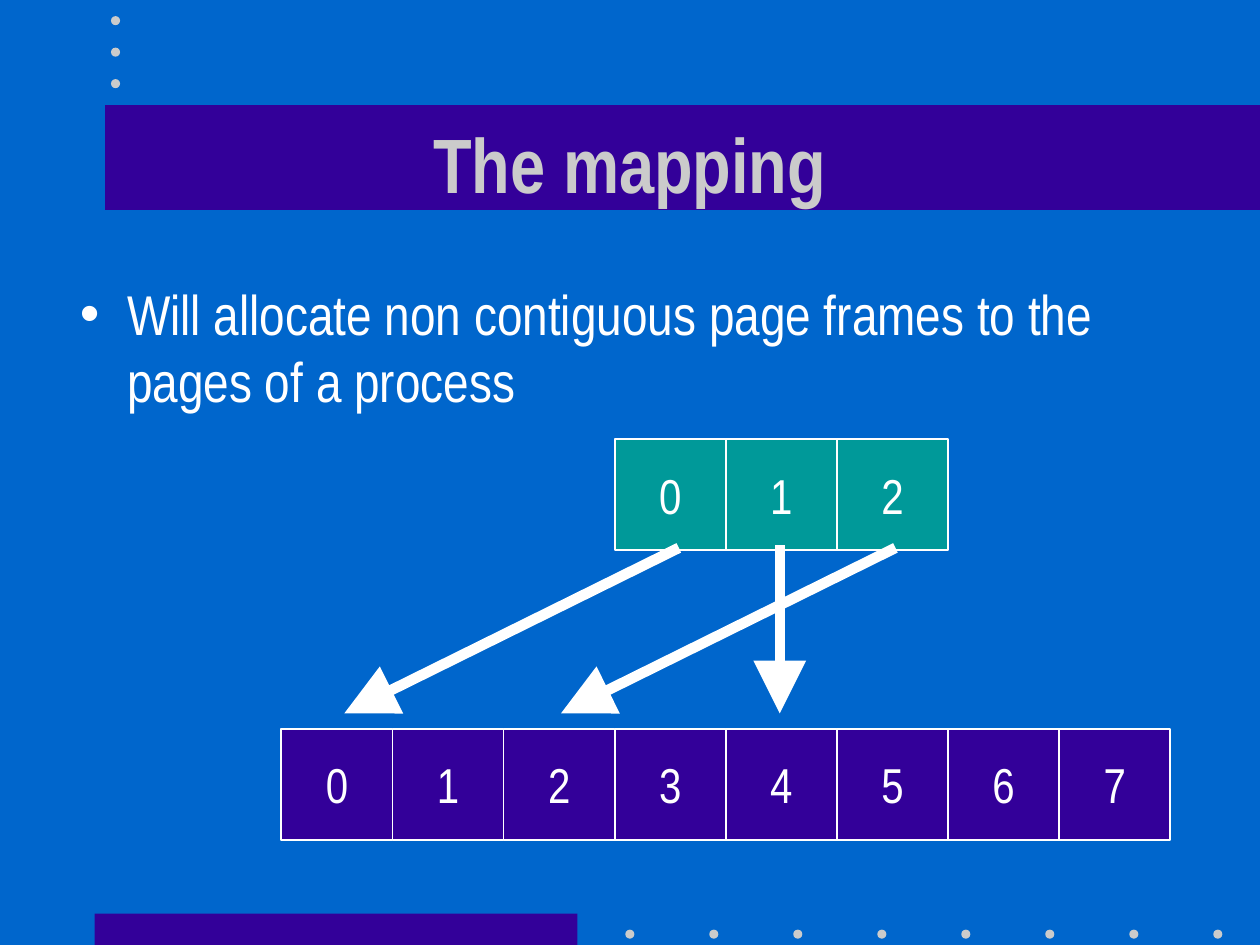
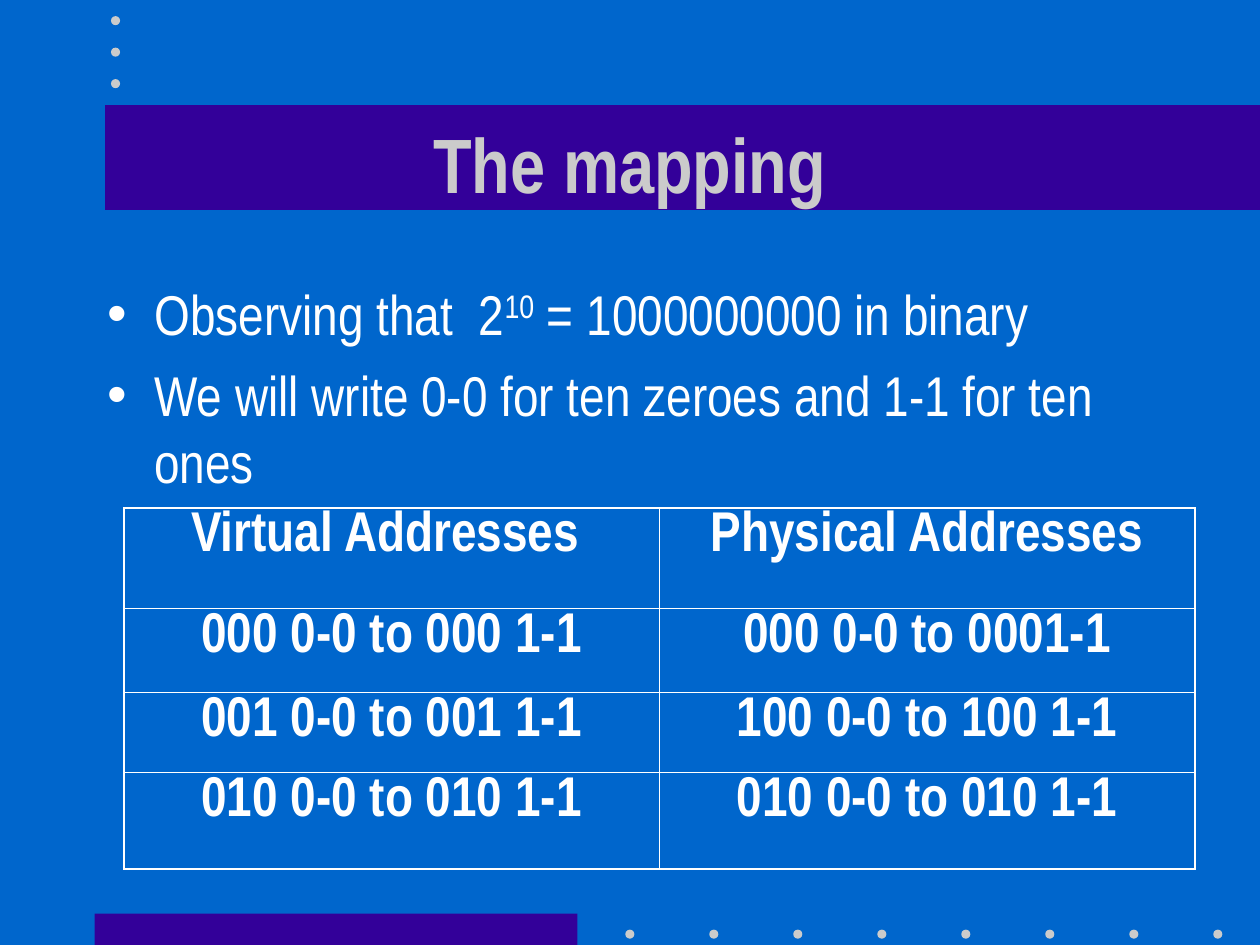
import pptx
import pptx.util
import pptx.dml.color
import pptx.enum.shapes
import pptx.enum.text
import pptx.oxml
import pptx.oxml.ns
import lxml.etree

Pt = pptx.util.Pt
SHAPES = pptx.enum.shapes.MSO_SHAPE
ALIGN = pptx.enum.text.PP_ALIGN
ANCHOR = pptx.enum.text.MSO_ANCHOR
COLORS = {
    "background": "0066CC",
    "band": "330099",
    "muted": "CBCBCB",
    "page": "009999",
    "text": "FFFFFF",
}
FONT = "Arial Narrow"
DOT = 5.2
CELL = 63.5
FRAMES_LEFT = 160.8
OUTER, INNER = 1.08, 0.45


def rgb(name):
    return pptx.dml.color.RGBColor.from_string(COLORS[name])


def add_xml(parent, tag, **attributes):
    element = lxml.etree.SubElement(parent, pptx.oxml.ns.qn(tag))
    for key, value in attributes.items():
        element.set(key, value)
    return element


class Deck:
    def __init__(self):
        self.presentation = pptx.Presentation()
        self.presentation.slide_width = Pt(720)
        self.presentation.slide_height = Pt(540)
        fill = self.presentation.slide_master.background.fill
        fill.solid()
        fill.fore_color.rgb = rgb("background")
        self.slide = None

    def start_slide(self, title, lines, body_left):
        layout = self.presentation.slide_layouts[1]
        self.slide = self.presentation.slides.add_slide(layout)
        self.decorate()
        self.title(title)
        self.bullets(lines, body_left)

    def decorate(self):
        self.shape(SHAPES.RECTANGLE, 54, 522, 276, 18, "band")
        for column in range(8):
            self.shape(SHAPES.OVAL, 357.3 + 48 * column, 531.2, DOT, DOT, "muted")
        self.shape(SHAPES.RECTANGLE, 60, 60, 660, 60, "band")
        for row in range(3):
            self.shape(SHAPES.OVAL, 63.4, 9.2 + 18 * row, DOT, DOT, "muted")

    def format(self, paragraph, size, color="text", bold=False, align=None):
        paragraph.alignment = align
        for run in paragraph.runs:
            run.font.name = FONT
            run.font.size = Pt(size)
            run.font.bold = bold
            run.font.color.rgb = rgb(color)

    def place(self, holder, left, top, width, height):
        holder.left, holder.top = Pt(left), Pt(top)
        holder.width, holder.height = Pt(width), Pt(height)
        holder.text_frame.auto_size = pptx.enum.text.MSO_AUTO_SIZE.NONE
        self.slide.shapes._spTree.append(holder._element)

    def title(self, text):
        heading = self.slide.shapes.title
        self.place(heading, 54, 48, 612, 90)
        frame = heading.text_frame
        frame.text = text
        frame.vertical_anchor = ANCHOR.MIDDLE
        self.format(frame.paragraphs[0], 44, "muted", True, ALIGN.CENTER)

    def bullets(self, lines, left):
        body = self.slide.placeholders[1]
        self.place(body, left, 156, 612, 324)
        frame = body.text_frame
        for index, pieces in enumerate(lines):
            paragraph = frame.add_paragraph() if index else frame.paragraphs[0]
            paragraph.space_before = Pt(8 if index else 0)
            for text, raised in pieces:
                run = paragraph.add_run()
                run.text = text
                if raised:
                    run._r.get_or_add_rPr().set("baseline", "30000")
            self.format(paragraph, 32)

    def shape(self, kind, left, top, width, height, color):
        shape = self.slide.shapes.add_shape(
            kind, Pt(left), Pt(top), Pt(width), Pt(height))
        shape.shadow.inherit = False
        shape.fill.solid()
        shape.fill.fore_color.rgb = rgb(color)
        shape.line.fill.background()
        return shape

    def cells(self, left, top, count, color):
        for number in range(count):
            cell = self.shape(SHAPES.RECTANGLE, left + number * CELL, top,
                              CELL, CELL, color)
            cell.line.color.rgb = rgb("text")
            cell.line.width = Pt(1)
            frame = cell.text_frame
            frame.word_wrap = False
            frame.vertical_anchor = ANCHOR.MIDDLE
            frame.text = str(number)
            self.format(frame.paragraphs[0], 28, align=ALIGN.CENTER)

    def arrow(self, start_x, end_x, start_y, end_y):
        arrow = self.slide.shapes.add_connector(
            pptx.enum.shapes.MSO_CONNECTOR.STRAIGHT,
            Pt(start_x), Pt(start_y), Pt(end_x), Pt(end_y))
        arrow.line.color.rgb = rgb("text")
        arrow.line.width = Pt(6)
        line = arrow.line._get_or_add_ln()
        line.set("cap", "sq")
        add_xml(line, "a:tailEnd", type="triangle", w="lg", len="lg")
        add_xml(arrow._element.spPr, "a:effectLst")

    def border(self, cell, side, width):
        line = add_xml(cell._tc.get_or_add_tcPr(), "a:ln" + side, w=str(Pt(width)))
        add_xml(add_xml(line, "a:solidFill"), "a:srgbClr", val=COLORS["text"])

    def table(self, rows, heights, left, top, column_width):
        columns = len(rows[0])
        table = self.slide.shapes.add_table(
            len(rows), columns, Pt(left), Pt(top),
            Pt(column_width * columns), Pt(sum(heights))).table
        table.first_row = table.horz_banding = False
        for column in table.columns:
            column.width = Pt(column_width)
        for r, (texts, height) in enumerate(zip(rows, heights)):
            table.rows[r].height = Pt(height)
            for c, text in enumerate(texts):
                cell = table.cell(r, c)
                edges = {"L": c == 0, "R": c == columns - 1,
                         "T": r == 0, "B": r == len(rows) - 1}
                for side, outer in edges.items():
                    self.border(cell, side, OUTER if outer else INNER)
                cell.fill.background()
                cell.text_frame.text = text
                paragraph = cell.text_frame.paragraphs[0]
                paragraph.line_spacing = 0.9
                self.format(paragraph, 32, bold=True, align=ALIGN.CENTER)


def main():
    deck = Deck()

    deck.start_slide("The mapping", [
        [("Will allocate non contiguous page frames to the pages of a process", False)],
    ], 38.4)
    deck.cells(FRAMES_LEFT + 3 * CELL, 250.8, 3, "page")
    deck.cells(FRAMES_LEFT, 416.4, 8, "band")
    for page_x, frame_x in [(385.2, 196.8), (445.6, 445.6), (509, 320.6)]:
        deck.arrow(page_x, frame_x, 314.4, 407.6)

    deck.start_slide("The mapping", [
        [("Observing that  2", False), ("10", True),
         (" = 1000000000 in binary", False)],
        [("We will write 0-0 for ten zeroes and 1-1 for ten ones", False)],
    ], 54)
    addresses = [
        ("Virtual Addresses ", "Physical Addresses"),
        ("000 0-0 to 000 1-1", "000 0-0 to 0001-1"),
        ("001 0-0 to 001 1-1", "100 0-0 to 100 1-1"),
        ("010 0-0 to 010 1-1", "010 0-0 to 010 1-1"),
    ]
    deck.table(addresses, [57.4, 48, 45.6, 55.4], 70.8, 290.2, 306)

    deck.presentation.save("out.pptx")


if __name__ == "__main__":
    main()
